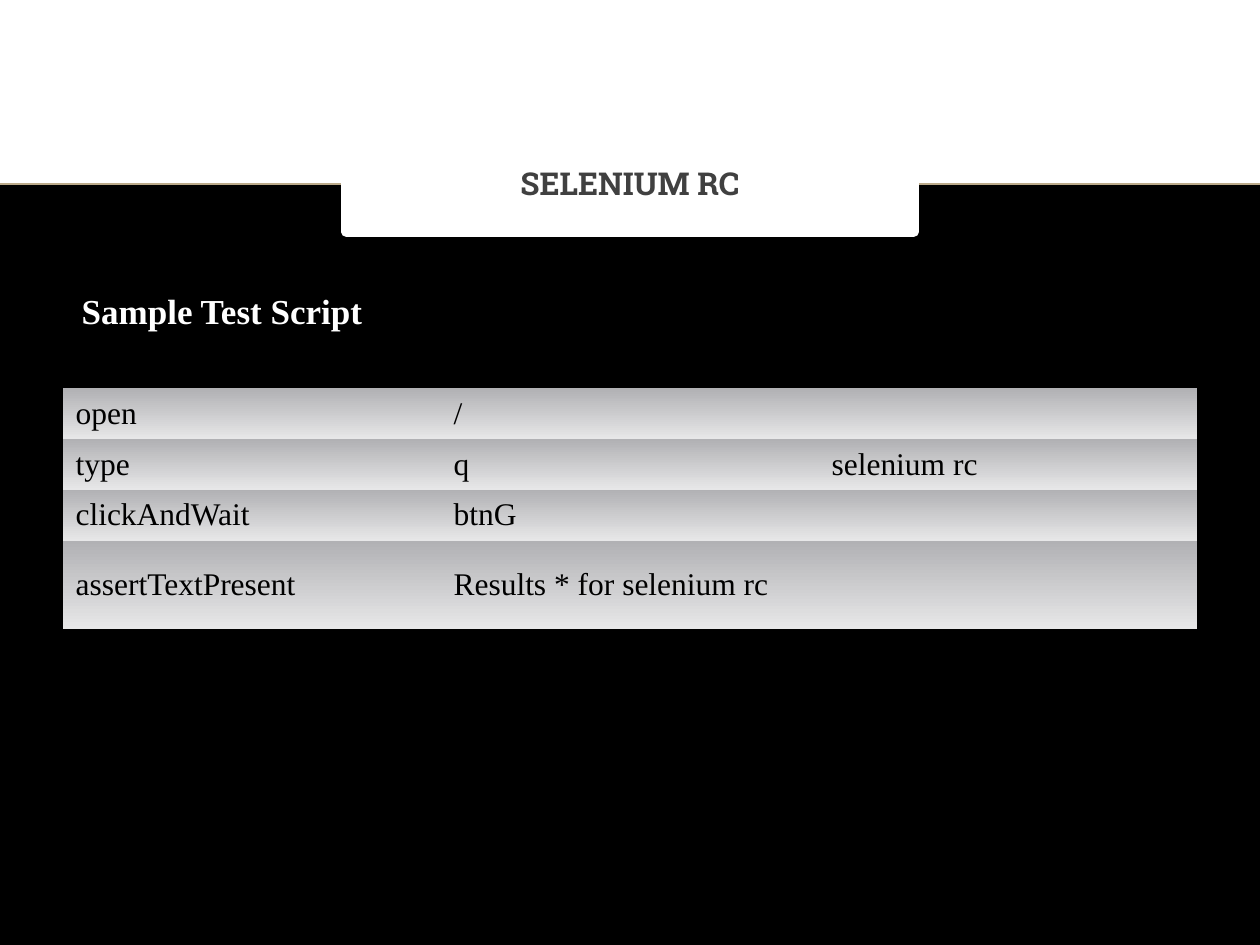
from dataclasses import dataclass

from pptx import Presentation
from pptx.dml.color import RGBColor
from pptx.enum import shapes, text
from pptx.oxml import ns, xmlchemy
from pptx.util import Inches, Pt


@dataclass(frozen=True)
class Theme:
    white: str = "FFFFFF"
    black: str = "000000"
    rule: str = "BBAA8A"
    title: str = "404040"
    cell_top: str = "B1B1B4"
    cell_bottom: str = "E7E7E8"
    title_font: str = "Roboto Slab"
    body_font: str = "Times New Roman"
    body_size: int = 18
    heading_size: int = 20


THEME = Theme()
NO_STYLE = "{2D5ABB26-0587-4C30-8999-92F81FD0307C}"
COMMANDS = [
    ("open", "/", ""),
    ("type", "q", "selenium rc"),
    ("clickAndWait", "btnG", ""),
    ("assertTextPresent", "Results * for selenium rc", ""),
]
ROW_HEIGHTS = [0.4, 0.4, 0.4, 0.7]
COLUMN_WIDTH = 3


def rgb(value):
    return RGBColor.from_string(value)


def write(tf, words, *, font=THEME.body_font, size=THEME.body_size,
          color=THEME.black, bold=False, align=text.PP_ALIGN.LEFT):
    p = tf.paragraphs[0]
    p.alignment = align
    r = p.add_run()
    r.text = words
    r.font.name, r.font.size, r.font.bold = font, Pt(size), bold
    r.font.color.rgb = rgb(color)


def add_band(s):
    """Black lower area with a thin rule along its top edge."""
    top = Inches(1.46)
    band = s.shapes.add_shape(shapes.MSO_SHAPE.RECTANGLE,
                              0, top, Inches(10), Inches(6.04))
    band.shadow.inherit = False
    band.fill.solid()
    band.fill.fore_color.rgb = rgb(THEME.black)
    band.line.fill.background()

    rule = s.shapes.add_connector(shapes.MSO_CONNECTOR.STRAIGHT,
                                  0, top, Inches(10), top)
    rule.line.color.rgb = rgb(THEME.rule)
    rule.line.width = Pt(1)
    rule.element.spPr.append(xmlchemy.OxmlElement("a:effectLst"))


def add_commands(s):
    frame = s.shapes.add_table(len(COMMANDS), 3, Inches(0.5), Inches(3.08),
                               Inches(3 * COLUMN_WIDTH), Inches(sum(ROW_HEIGHTS)))
    table = frame.table
    table.first_row = table.horz_banding = False
    next(frame.element.iter(ns.qn("a:tableStyleId"))).text = NO_STYLE
    for column in table.columns:
        column.width = Inches(COLUMN_WIDTH)
    for row, height, words in zip(table.rows, ROW_HEIGHTS, COMMANDS):
        row.height = Inches(height)
        for cell, word in zip(row.cells, words):
            fill_cell(cell)
            if word:
                write(cell.text_frame, word)


def fill_cell(cell):
    cell.vertical_anchor = text.MSO_ANCHOR.MIDDLE
    cell.fill.gradient()
    cell.fill.gradient_angle = 270
    stops = zip(cell.fill.gradient_stops, (0, 1), (THEME.cell_top, THEME.cell_bottom))
    for stop, position, color in stops:
        stop.position = position
        stop.color.rgb = rgb(color)


def format_title(s, words):
    title = s.shapes.title
    title.left, title.top = Inches(2.75), Inches(1.07)
    title.width, title.height = Inches(4.5), Inches(0.77)
    title.fill.solid()
    title.fill.fore_color.rgb = rgb(THEME.white)
    title.line.color.rgb = rgb(THEME.white)
    title.line.width = Pt(6)
    tf = title.text_frame
    tf.word_wrap = True
    tf.vertical_anchor = text.MSO_ANCHOR.MIDDLE
    write(tf, words, font=THEME.title_font, color=THEME.title, bold=True,
          align=text.PP_ALIGN.CENTER)
    title.element.getparent().append(title.element)  # bring in front of the band


def add_heading(s, words):
    box = s.shapes.add_textbox(Inches(0.55), Inches(2.25), Inches(4.08), Inches(0.44))
    tf = box.text_frame
    tf.word_wrap = True
    tf.auto_size = text.MSO_AUTO_SIZE.SHAPE_TO_FIT_TEXT
    write(tf, words, size=THEME.heading_size, color=THEME.white, bold=True)


def main():
    prs = Presentation()
    prs.slide_width, prs.slide_height = Inches(10), Inches(7.5)
    s = prs.slides.add_slide(prs.slide_layouts.get_by_name("Title Only"))
    s.background.fill.solid()
    s.background.fill.fore_color.rgb = rgb(THEME.white)
    add_band(s)
    add_commands(s)
    format_title(s, "SELENIUM RC")
    add_heading(s, "Sample Test Script")
    prs.save("out.pptx")


if __name__ == "__main__":
    main()
